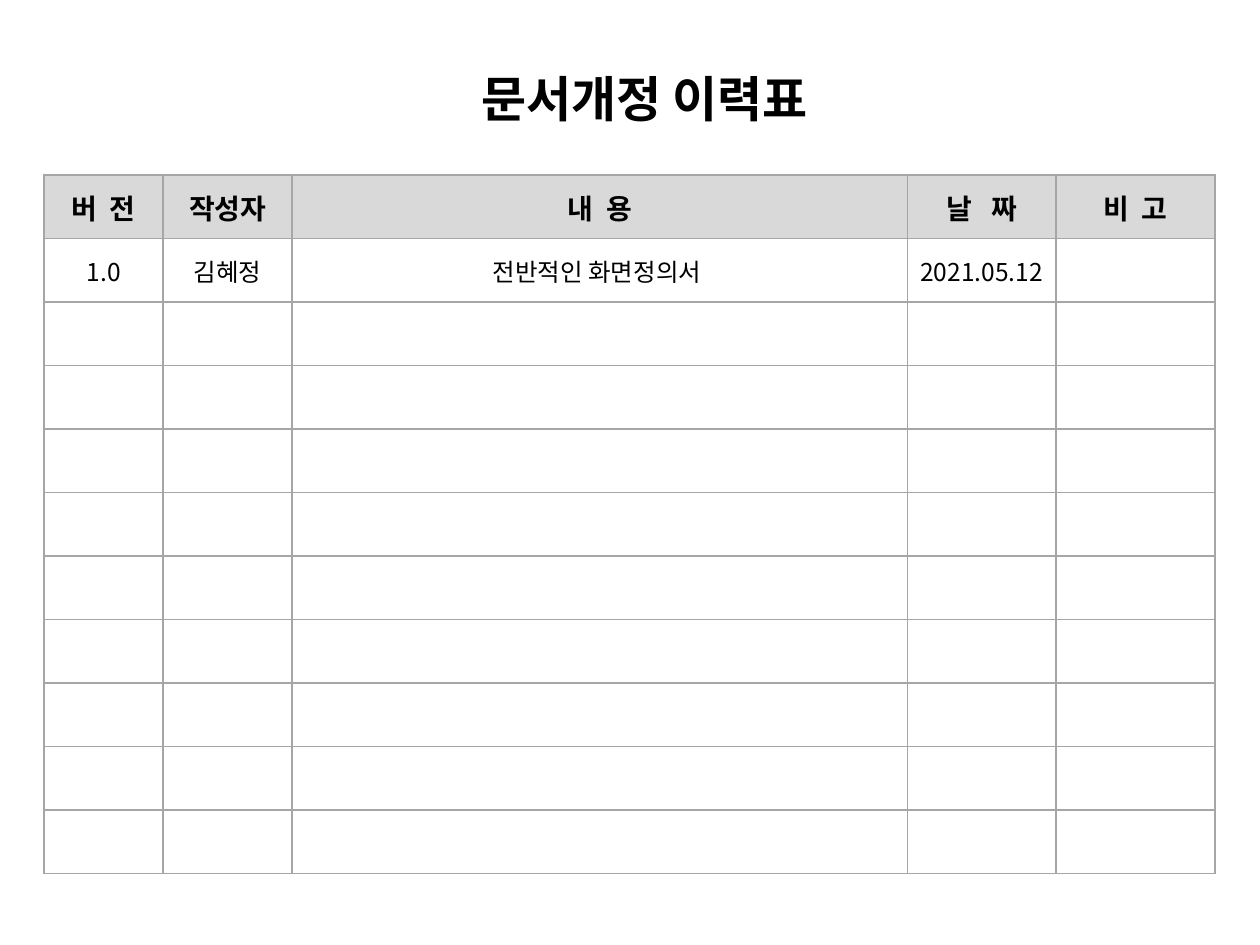
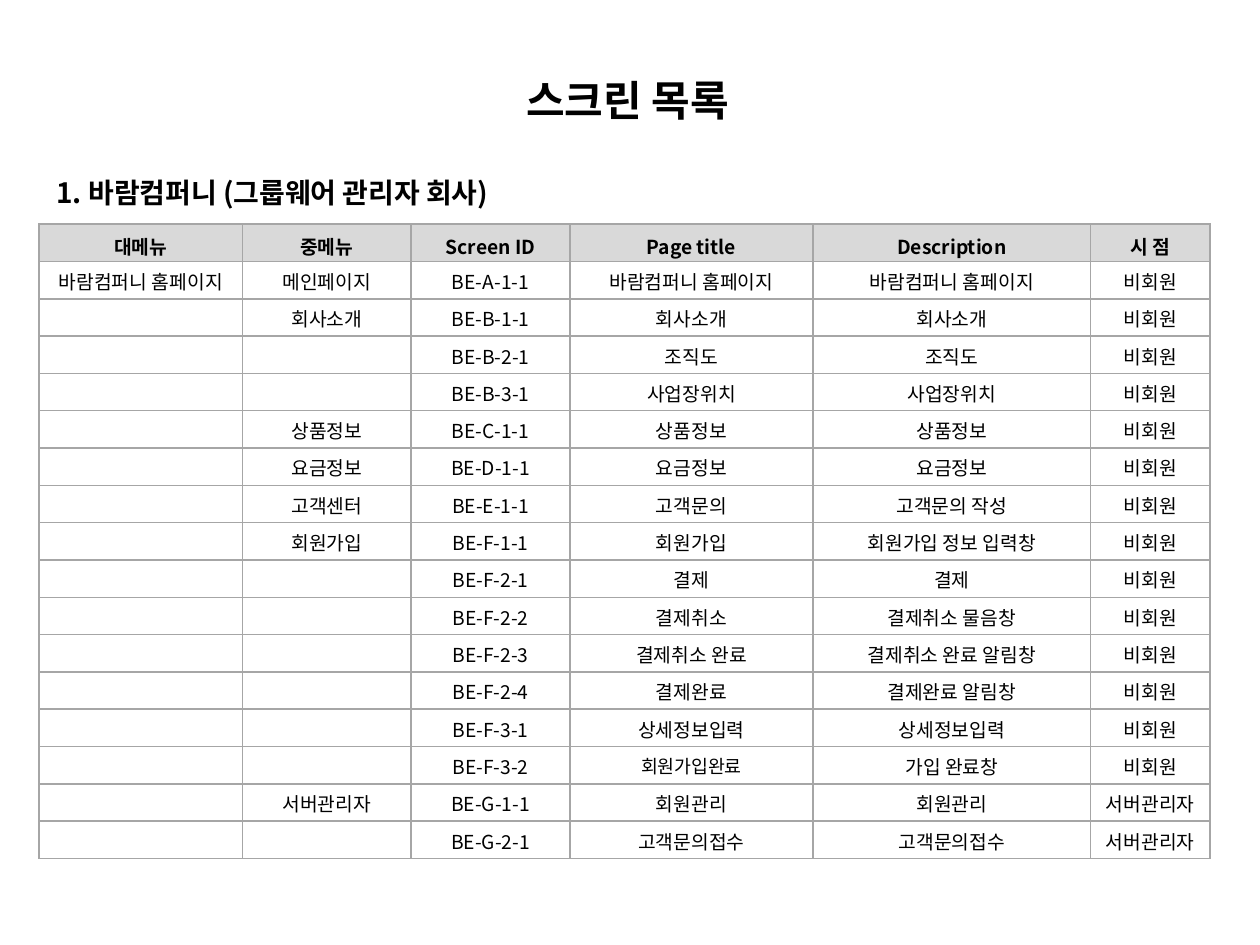
from lxml import etree
from pptx import Presentation
from pptx.dml.color import RGBColor
from pptx.enum import text
from pptx.oxml import ns
from pptx.util import Cm, Pt

FONT = "Noto Sans CJK KR"
INK, HEADER_FILL, RULE = "000000", "D9D9D9", "A6A6A6"
REVISION_COLUMNS = {"버  전": 2.4, "작성자": 2.6, "내  용": 12.4, "날   짜": 3, "비  고": 3.2}
REVISIONS = [["1.0", "김혜정", "전반적인 화면정의서 ", "2021.05.12", ""]] + [[""] * 5] * 9
SCREEN_COLUMNS = {"대메뉴": 4.1, "중메뉴": 3.4, "Screen ID": 3.2,
                  "Page title": 4.9, "Description": 5.6, "시 점": 2.4}
GUEST, ADMIN = "비회원", "서버관리자"
COMPANY = "바람컴퍼니"
HOMEPAGE = f"{COMPANY} 홈페이지"
SCREENS = [
    [HOMEPAGE, "메인페이지", "BE-A-1-1", HOMEPAGE, HOMEPAGE, GUEST],
    ["", "회사소개", "BE-B-1-1", "회사소개", "회사소개", GUEST],
    ["", "", "BE-B-2-1", "조직도", "조직도", GUEST],
    ["", "", "BE-B-3-1", "사업장위치", "사업장위치", GUEST],
    ["", "상품정보", "BE-C-1-1", "상품정보", "상품정보", GUEST],
    ["", "요금정보", "BE-D-1-1", "요금정보", "요금정보", GUEST],
    ["", "고객센터", "BE-E-1-1", "고객문의", "고객문의 작성", GUEST],
    ["", "회원가입", "BE-F-1-1", "회원가입", "회원가입 정보 입력창", GUEST],
    ["", "", "BE-F-2-1", "결제", "결제", GUEST],
    ["", "", "BE-F-2-2", "결제취소", "결제취소 물음창", GUEST],
    ["", "", "BE-F-2-3", "결제취소 완료", "결제취소 완료 알림창", GUEST],
    ["", "", "BE-F-2-4", "결제완료", "결제완료 알림창", GUEST],
    ["", "", "BE-F-3-1", "상세정보입력", "상세정보입력", GUEST],
    ["", "", "BE-F-3-2", "회원가입완료", "가입 완료창", GUEST],
    ["", ADMIN, "BE-G-1-1", "회원관리", "회원관리", ADMIN],
    ["", "", "BE-G-2-1", "고객문의접수", "고객문의접수", ADMIN],
]


def color(hex_string):
    """Turn a hex string into a colour."""
    return RGBColor.from_string(hex_string)


def write(paragraph, words, size, bold=False, align=text.PP_ALIGN.CENTER):
    """Add one styled run, or size the paragraph end when there are no words."""
    paragraph.alignment = align
    if not words:
        etree.SubElement(paragraph._p, ns.qn("a:endParaRPr"), sz=str(int(size * 100)))
        return
    run = paragraph.add_run()
    run.text = words
    run.font.size, run.font.bold, run.font.name = Pt(size), bold, FONT
    run.font.color.rgb = color(INK)
    etree.SubElement(run._r.get_or_add_rPr(), ns.qn("a:ea"), typeface=FONT)


def write_line(frame, words, size, align):
    """Fill a one-line bold frame that stays centred on its box."""
    frame.word_wrap = True
    frame.auto_size = text.MSO_AUTO_SIZE.NONE
    frame.vertical_anchor = text.MSO_ANCHOR.MIDDLE
    write(frame.paragraphs[0], words, size, True, align)


def add_title(slide, box, words, size):
    """Move the title placeholder to its box and write the title."""
    title = slide.shapes.title
    title.left, title.top, title.width, title.height = map(Cm, box)
    write_line(title.text_frame, words, size, text.PP_ALIGN.CENTER)


def add_section_heading(slide, box, words):
    """Add the numbered heading above a table."""
    heading = slide.shapes.add_textbox(*map(Cm, box))
    write_line(heading.text_frame, words, 16, text.PP_ALIGN.LEFT)


def rule_cell(cell):
    """Draw thin grey lines on all four sides of a cell."""
    properties = cell._tc.get_or_add_tcPr()
    for side in ("lnL", "lnR", "lnT", "lnB"):
        line = etree.SubElement(properties, ns.qn(f"a:{side}"), w=str(Pt(1)))
        fill = etree.SubElement(line, ns.qn("a:solidFill"))
        etree.SubElement(fill, ns.qn("a:srgbClr"), val=RULE)


def set_margins(cell, left, top, right, bottom):
    """Set the inner margins of a cell in centimetres."""
    cell.margin_left, cell.margin_top = Cm(left), Cm(top)
    cell.margin_right, cell.margin_bottom = Cm(right), Cm(bottom)


def add_ruled_table(slide, box, columns, records, sizes, margins=None, exceptions=None):
    """Add a table with a grey header row and equal row heights."""
    lines = [list(columns), *records]
    table = slide.shapes.add_table(len(lines), len(columns), *map(Cm, box)).table
    table.first_row = table.horz_banding = False
    for column, width in zip(table.columns, columns.values()):
        column.width = Cm(width)
    for index, (row, entries) in enumerate(zip(table.rows, lines)):
        header = index == 0
        row.height = int(Cm(box[3]) / len(lines))
        for cell, entry in zip(row.cells, entries):
            rule_cell(cell)
            if header:
                cell.fill.solid()
                cell.fill.fore_color.rgb = color(HEADER_FILL)
            else:
                cell.fill.background()
            cell.vertical_anchor = text.MSO_ANCHOR.MIDDLE
            if margins:
                set_margins(cell, *margins[0 if header else 1])
            size = (exceptions or {}).get((index, entry), sizes[0 if header else 1])
            write(cell.text_frame.paragraphs[0], entry, size, header)


def build_revision_history(slide):
    """Build the document revision history."""
    add_title(slide, (8.5, 1.24, 9, 1.45), "문서개정 이력표", 28)
    add_ruled_table(slide, (0.89, 3.53, 23.6, 14.08), REVISION_COLUMNS, REVISIONS, (16, 14))


def build_screen_list(slide):
    """Build the list of screens."""
    add_title(slide, (8.15, 1.37, 9, 1.27), "스크린 목록", 24)
    add_section_heading(slide, (0.89, 3.4, 13.2, 0.94), f"1. {COMPANY} (그룹웨어 관리자 회사)")
    margins = (0.25, 0.13, 0.25, 0), (0.03, 0.03, 0.03, 0)
    add_ruled_table(slide, (0.79, 4.52, 23.6, 12.8), SCREEN_COLUMNS, SCREENS, (11, 11),
                    margins, {(14, "회원가입완료"): 10.5})


def main():
    """Build and save the presentation."""
    deck = Presentation()
    deck.slide_width, deck.slide_height = Cm(25.4), Cm(19.05)
    for build in (build_revision_history, build_screen_list):
        build(deck.slides.add_slide(deck.slide_layouts[5]))
    deck.save("out.pptx")


if __name__ == "__main__":
    main()
